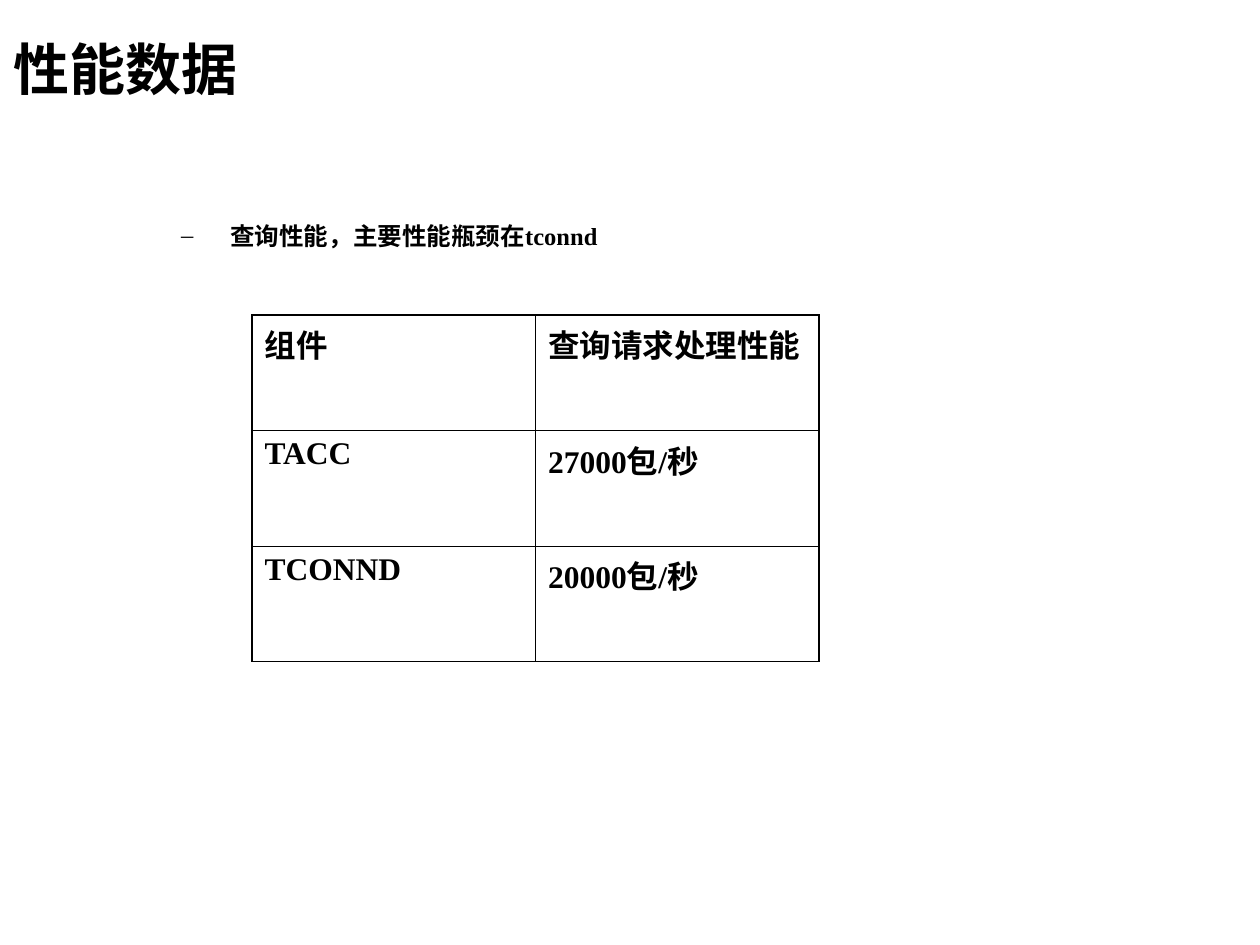
from pptx import Presentation
from pptx import util as u
from pptx.dml.color import RGBColor
from pptx.enum import text
from pptx.oxml import ns
from lxml import etree

BLACK = RGBColor(0x00, 0x00, 0x00)
WHITE = RGBColor(0xFF, 0xFF, 0xFF)
FONT = "Times New Roman"
OUTER_LINE = 1.08
INNER_LINE = 0.45


class SlideBuilder:
    def __init__(self, slide):
        self.slide = slide
        slide.background.fill.solid()
        slide.background.fill.fore_color.rgb = WHITE

    def add_run(self, paragraph, words, size):
        run = paragraph.add_run()
        run.text = words
        run.font.name = FONT
        run.font.size = u.Pt(size)
        run.font.bold = True
        run.font.color.rgb = BLACK

    def add_text(self, left, top, width, height, words, size, anchor):
        shape = self.slide.shapes.add_textbox(
            u.Inches(left), u.Inches(top), u.Inches(width), u.Inches(height))
        frame = shape.text_frame
        frame.word_wrap = True
        frame.vertical_anchor = anchor
        paragraph = frame.paragraphs[0]
        self.add_run(paragraph, words, size)
        return paragraph

    def add_dash(self, paragraph, margin, indent):
        properties = paragraph._p.get_or_add_pPr()
        properties.set("marL", str(u.Inches(margin)))
        properties.set("indent", str(u.Inches(indent)))
        color = etree.SubElement(properties, ns.qn("a:buClr"))
        etree.SubElement(color, ns.qn("a:srgbClr"), val=str(BLACK))
        etree.SubElement(properties, ns.qn("a:buFont"), typeface=FONT)
        etree.SubElement(properties, ns.qn("a:buChar"), char="–")
        paragraph.line_spacing = 0.8

    def add_border(self, properties, side, width):
        line = etree.Element(ns.qn(f"a:ln{side}"), w=str(u.Pt(width)))
        fill = etree.SubElement(line, ns.qn("a:solidFill"))
        etree.SubElement(fill, ns.qn("a:srgbClr"), val=str(BLACK))
        properties.append(line)

    def add_table(self, left, top, width, height, rows, size):
        row_count, column_count = len(rows), len(rows[0])
        table = self.slide.shapes.add_table(
            row_count, column_count, u.Inches(left), u.Inches(top),
            u.Inches(width), u.Inches(height)).table
        table.first_row = False
        table.horz_banding = False
        for r, row in enumerate(rows):
            for c, words in enumerate(row):
                cell = table.cell(r, c)
                self.add_run(cell.text_frame.paragraphs[0], words, size)
                outer_sides = {"L": c == 0, "R": c == column_count - 1,
                               "T": r == 0, "B": r == row_count - 1}
                properties = cell._tc.get_or_add_tcPr()
                for side, outer in outer_sides.items():
                    self.add_border(properties, side, OUTER_LINE if outer else INNER_LINE)
                cell.fill.background()


def main():
    presentation = Presentation()
    presentation.slide_width = u.Inches(10)
    presentation.slide_height = u.Inches(7.5)
    builder = SlideBuilder(presentation.slides.add_slide(presentation.slide_layouts[6]))

    builder.add_text(0.01, 0.08, 6.57, 0.92, "性能数据", 32, text.MSO_ANCHOR.MIDDLE)
    finding = builder.add_text(0.75, 1.75, 8.33, 0.84, "查询性能，主要性能瓶颈在tconnd",
                               14, text.MSO_ANCHOR.TOP)
    builder.add_dash(finding, 0.98, -0.39)
    builder.add_table(2, 2.5, 4.5, 2.75, [
        ("组件", "查询请求处理性能"),
        ("TACC", "27000包/秒"),
        ("TCONND", "20000包/秒"),
    ], 18)

    presentation.save("out.pptx")


if __name__ == "__main__":
    main()
